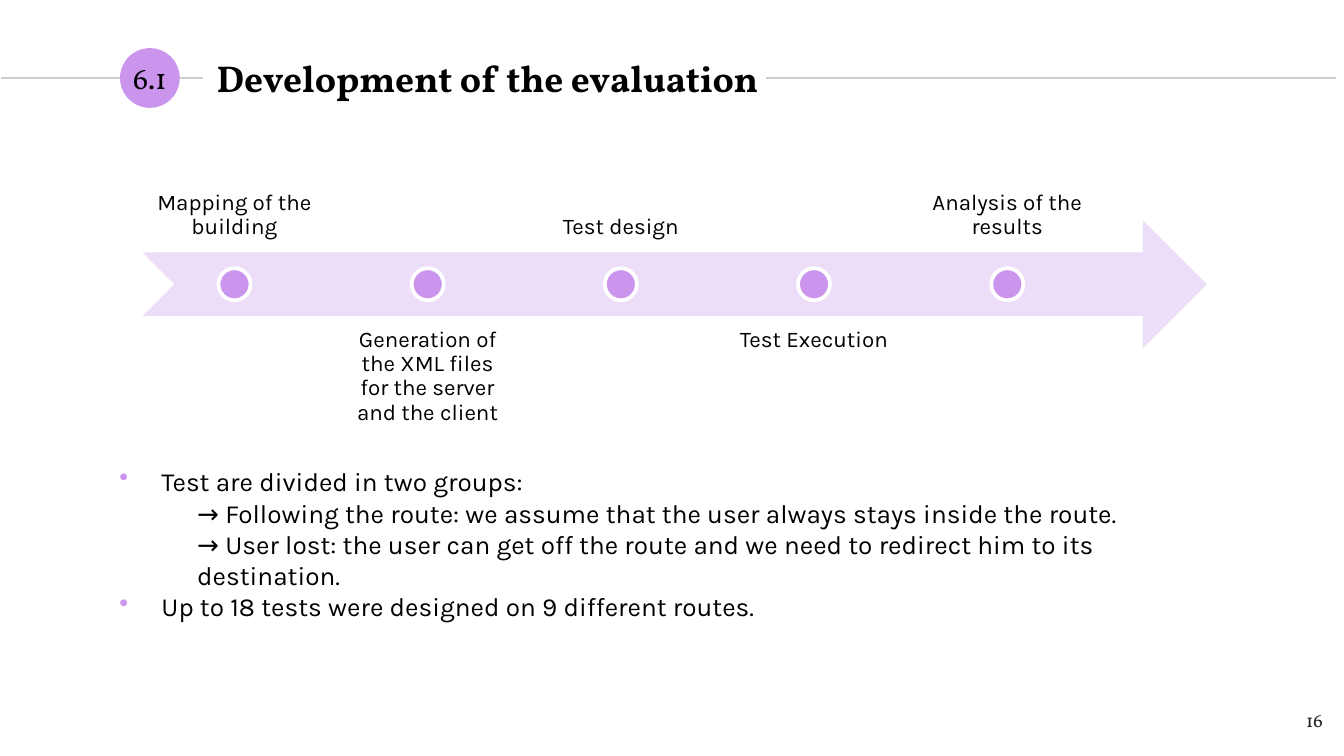
from dataclasses import dataclass

from lxml.etree import SubElement
from pptx import Presentation
from pptx.dml.color import RGBColor
from pptx.enum.shapes import MSO_CONNECTOR, MSO_SHAPE
from pptx.enum.text import MSO_ANCHOR as Anchor, PP_ALIGN as Align
from pptx.oxml.ns import qn
from pptx.util import Pt

COLORS = {"text": "000000", "number": "1D1D1B", "rule": "CCCCCC",
          "accent": "CC95ED", "arrow": "ECDDF8", "white": "FFFFFF"}
HEADING, BODY = "Vollkorn", "Karla"


@dataclass
class Box:
    left: float
    top: float
    width: float
    height: float


@dataclass
class Style:
    font: str
    size: float
    color: str = "text"
    bold: bool = False
    align: Align = Align.LEFT
    anchor: Anchor = Anchor.TOP
    inset: tuple[float, float] = (7.2, 7.2)
    spacing: float = 1.0


def rgb(name: str) -> RGBColor:
    """Return a named colour."""
    return RGBColor.from_string(COLORS[name])


def add_rule(s, x1: float, x2: float, y: float) -> None:
    """Draw a thin horizontal header line."""
    line = s.shapes.add_connector(MSO_CONNECTOR.STRAIGHT, Pt(x1), Pt(y), Pt(x2), Pt(y))
    line.line.color.rgb = rgb("rule")
    line.line.width = Pt(0.75)
    SubElement(line._element.spPr, qn("a:effectLst"))


def add_solid(s, kind: MSO_SHAPE, box: Box, fill: str, outline: str | None = None) -> None:
    """Draw a filled preset shape with an optional outline."""
    sp = s.shapes.add_shape(kind, Pt(box.left), Pt(box.top), Pt(box.width), Pt(box.height))
    sp.shadow.inherit = False
    sp.fill.solid()
    sp.fill.fore_color.rgb = rgb(fill)
    if outline:
        sp.line.color.rgb = rgb(outline)
        sp.line.width = Pt(2)
    else:
        sp.line.fill.background()


def add_bullet(p) -> None:
    """Give a paragraph a hanging accent bullet."""
    pPr = p._p.get_or_add_pPr()
    pPr.set("marL", str(Pt(22.5)))
    pPr.set("indent", str(Pt(-22.5)))
    SubElement(SubElement(pPr, qn("a:buClr")), qn("a:srgbClr"), val=COLORS["accent"])
    SubElement(pPr, qn("a:buChar"), char="•")


def add_text(s, box: Box, lines: list[str], style: Style,
             bullets: bool = False, gap: float = 0) -> None:
    """Add a wrapped text box with one paragraph per line."""
    sp = s.shapes.add_textbox(Pt(box.left), Pt(box.top), Pt(box.width), Pt(box.height))
    tf = sp.text_frame
    tf.word_wrap = True
    tf.vertical_anchor = style.anchor
    tf.margin_left = tf.margin_right = Pt(style.inset[0])
    tf.margin_top = tf.margin_bottom = Pt(style.inset[1])
    tf.text = "\n".join(lines)
    for i, p in enumerate(tf.paragraphs):
        if bullets:
            add_bullet(p)
        p.alignment = style.align
        p.line_spacing = style.spacing
        if i and gap:
            p.space_before = Pt(gap)
        for r in p.runs:
            r.font.name = style.font
            r.font.size = Pt(style.size)
            r.font.bold = style.bold
            r.font.color.rgb = rgb(style.color)


def add_timeline(s, steps: list[str]) -> None:
    """Draw the arrow with labels alternating above and below it."""
    arrow = Box(76.3, 118.1, 570.2, 68.4)
    pitch, width, dot = 103.5, 98.6, 17.2
    middle = arrow.top + arrow.height / 2
    add_solid(s, MSO_SHAPE.NOTCHED_RIGHT_ARROW, arrow, "arrow")
    for i, step in enumerate(steps):
        left = arrow.left + i * pitch
        above = i % 2 == 0
        top = middle - 86.1 if above else middle + 17.1
        style = Style(BODY, 12, align=Align.CENTER, inset=(6.4, 6.4), spacing=0.9,
                      anchor=Anchor.BOTTOM if above else Anchor.TOP)
        add_text(s, Box(left, top, width, 68.4), [step], style)
        add_solid(s, MSO_SHAPE.OVAL,
                  Box(left + (width - dot) / 2, middle - dot / 2, dot, dot),
                  "accent", "white")


def main() -> None:
    """Build and save the slide."""
    prs = Presentation()
    prs.slide_width, prs.slide_height = Pt(720), Pt(405)
    s = prs.slides.add_slide(prs.slide_layouts[6])

    add_rule(s, 0.5, 109, 41.8)
    add_solid(s, MSO_SHAPE.OVAL, Box(64.3, 25.8, 32, 32), "accent")
    add_rule(s, 410.4, 715.7, 41.8)
    add_text(s, Box(109, 24.5, 312.5, 34.6), ["Development of the evaluation"],
             Style(HEADING, 20, bold=True, anchor=Anchor.MIDDLE))
    add_text(s, Box(56.9, 24.5, 46.8, 34.6), ["6.1"],
             Style(HEADING, 16, align=Align.CENTER, anchor=Anchor.MIDDLE))
    add_text(s, Box(672.5, 373.7, 43.2, 31), ["16"],
             Style(HEADING, 10, "number", align=Align.RIGHT))

    add_timeline(s, [
        "Mapping of the building",
        "Generation of the XML files for the server and the client",
        "Test design",
        "Test Execution",
        "Analysis of the results",
    ])

    body = Style(BODY, 14, inset=(7.2, 3.6))
    add_text(s, Box(56.9, 245.5, 608.4, 92.2), [
        "Test are divided in two groups:",
        "Up to 18 tests were designed on 9 different routes.",
    ], body, bullets=True, gap=50.6)
    add_text(s, Box(98.6, 262.8, 571, 41), [
        "→ Following the route: we assume that the user always stays inside the route.",
        "→ User lost: the user can get off the route and we need to redirect him to its destination.",
    ], body)
    prs.save("out.pptx")


if __name__ == "__main__":
    main()
